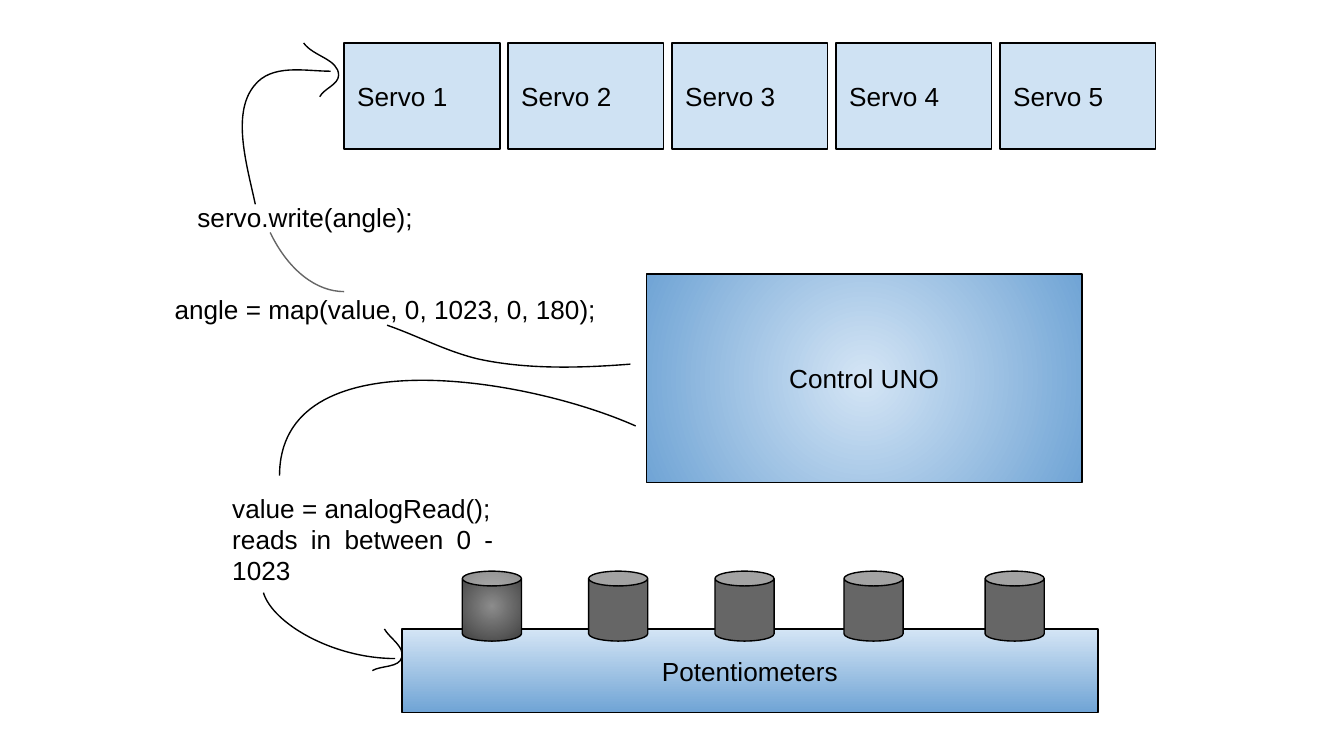
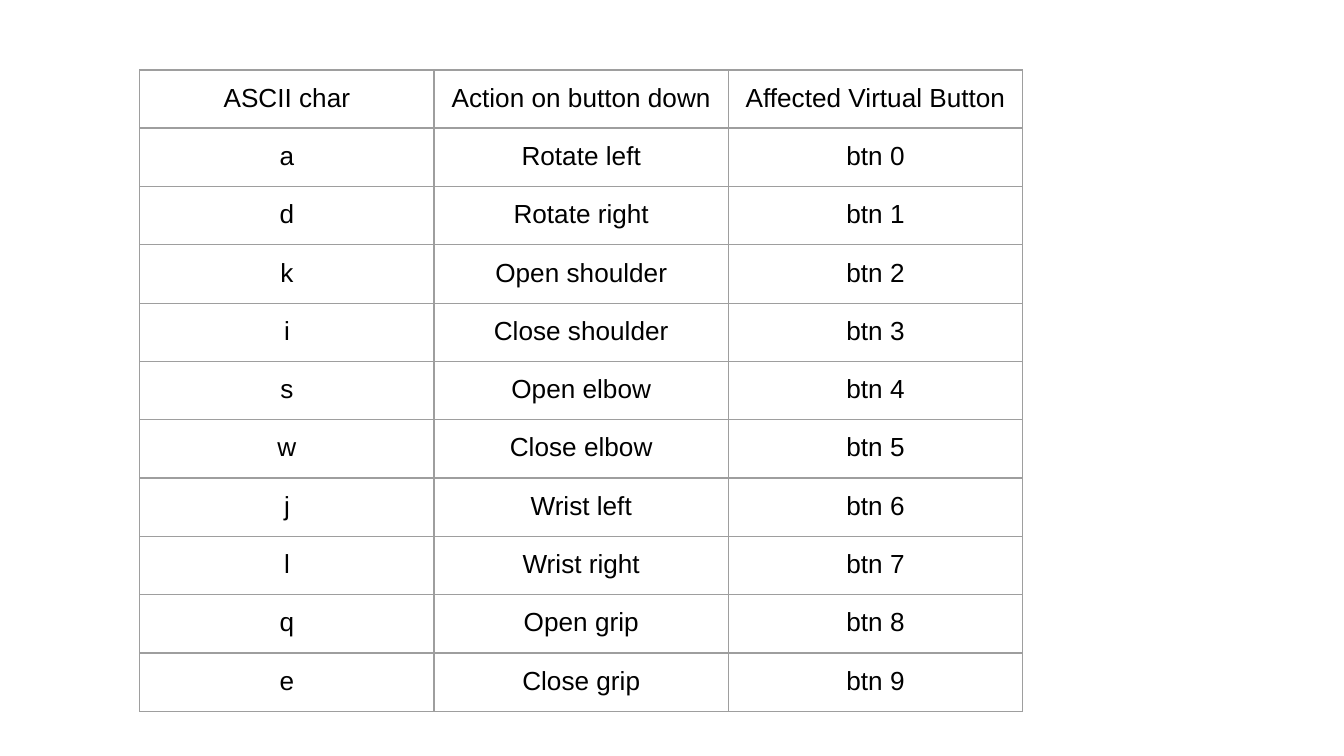
from dataclasses import dataclass

from lxml import etree
from pptx import Presentation, util as u
from pptx.dml.color import RGBColor
from pptx.enum import shapes, text
from pptx.oxml.ns import qn

PX = u.Inches(0.01)


@dataclass(frozen=True)
class Theme:
    font: str = "Arial"
    size: int = 14
    ink: str = "000000"
    line: float = 0.75
    heavy: float = 1.5
    servo: str = "CFE2F3"
    blue: tuple = ("D4E5F5", "70A4D5")
    knob: str = "666666"
    knob_glow: tuple = ("8C8C8C", "404040")
    grid: str = "9E9E9E"


THEME = Theme()
LEFT, CENTER, JUSTIFY = text.PP_ALIGN.LEFT, text.PP_ALIGN.CENTER, text.PP_ALIGN.JUSTIFY
RECT, CAN = shapes.MSO_SHAPE.RECTANGLE, shapes.MSO_SHAPE.CAN

SERVOS = [f"Servo {n}" for n in range(1, 6)]
KNOB_LEFTS = [344, 438, 532, 628, 733]
ACTIONS = [
    ("a", "Rotate left"), ("d", "Rotate right"),
    ("k", "Open shoulder"), ("i", "Close shoulder"),
    ("s", "Open elbow"), ("w", "Close elbow"),
    ("j", "Wrist left"), ("l", "Wrist right"),
    ("q", "Open grip"), ("e", "Close grip"),
]
HEADER = ("ASCII char", "Action on button down", "Affected Virtual Button")

# Each curve is a start point followed by cubic segments (control, control, end).
READ_CURVE = [(473, 317), (390, 280), (208, 251), (208, 354)]
POT_CURVE = [(196, 441), (203, 464), (248, 490), (294, 490)]
POT_HEAD = [(286, 468), (290, 475), (301, 481), (299, 489),
            (297, 497), (284, 495), (277, 499)]
MAP_CURVE = [(469, 271), (431, 274), (391, 275), (355, 267),
             (331, 261), (311, 250), (288, 242)]
SERVO_CURVE = [(190, 152), (184, 124), (172, 85), (189, 64),
               (202, 47), (227, 53), (246, 53)]
SERVO_HEAD = [(226, 32), (233, 42), (252, 44), (252, 56),
              (252, 63), (241, 66), (238, 72)]
WRITE_CURVE = [(256, 217), (236, 217), (215, 202), (201, 173)]


def box(*lengths):
    return [n * PX for n in lengths]


def rgb(color):
    return RGBColor.from_string(color)


def write(tf, lines, align):
    tf.text = lines
    tf.word_wrap = True
    tf.margin_left = tf.margin_right = tf.margin_top = tf.margin_bottom = 10 * PX
    for p in tf.paragraphs:
        p.alignment = align
        for r in p.runs:
            r.font.name, r.font.size = THEME.font, u.Pt(THEME.size)
            r.font.color.rgb = rgb(THEME.ink)


def outline(sp, color=THEME.ink):
    sp.shadow.inherit = False
    sp.line.color.rgb = rgb(color)
    sp.line.width = u.Pt(THEME.line)


def gradient(sp, colors, radial):
    sp.fill.gradient()
    sp.fill.gradient_angle = 270
    for stop, color in zip(sp.fill.gradient_stops, colors):
        stop.color.rgb = rgb(color)
    if radial:
        lin = sp._element.spPr.find(".//" + qn("a:lin"))
        circle = etree.Element(qn("a:path"), path="circle")
        etree.SubElement(circle, qn("a:fillToRect"), l="50000", t="50000", r="50000", b="50000")
        lin.getparent().replace(lin, circle)


def add_block(s, kind, at, fill, label="", align=CENTER, radial=False):
    """Draw an outlined shape; a pair of colours gives a gradient."""
    sp = s.shapes.add_shape(kind, *box(*at))
    outline(sp)
    if isinstance(fill, tuple):
        gradient(sp, fill, radial)
    else:
        sp.fill.solid()
        sp.fill.fore_color.rgb = rgb(fill)
    if label:
        write(sp.text_frame, label, align)
        sp.text_frame.vertical_anchor = text.MSO_ANCHOR.MIDDLE


def add_label(s, at, lines, align=LEFT):
    write(s.shapes.add_textbox(*box(*at)).text_frame, lines, align)


def bezier(a, b, c, d, t):
    v = 1 - t
    return [(v**3 * i + 3 * v * v * t * j + 3 * v * t * t * k + t**3 * m) * PX
            for i, j, k, m in zip(a, b, c, d)]


def add_curve(s, points, color=THEME.ink):
    """Size a freeform by sampling the curve, then give it true cubic segments."""
    starts = range(0, len(points) - 1, 3)
    samples = [bezier(*points[i:i + 4], n / 20) for i in starts for n in range(1, 21)]
    fb = s.shapes.build_freeform(*box(*points[0]))
    fb.add_line_segments(samples, close=False)
    sp = fb.convert_to_shape()
    outline(sp, color)
    sp.fill.background()
    track = sp._element.spPr.find(".//" + qn("a:path"))
    for segment in track.findall(qn("a:lnTo")):
        track.remove(segment)
    for i in starts:
        cubic = etree.SubElement(track, qn("a:cubicBezTo"))
        for x, y in points[i + 1:i + 4]:
            etree.SubElement(cubic, qn("a:pt"), x=str(x * PX - sp.left), y=str(y * PX - sp.top))


def set_borders(cell, widths):
    tcPr = cell._tc.get_or_add_tcPr()
    for side, width in zip("LRTB", widths):
        ln = etree.SubElement(tcPr, qn(f"a:ln{side}"), w=str(u.Pt(width)))
        fill = etree.SubElement(ln, qn("a:solidFill"))
        etree.SubElement(fill, qn("a:srgbClr"), val=THEME.grid)


def add_grid(s, left, top, col_width, row_height, rows):
    size = (col_width * len(rows[0]), row_height * len(rows))
    table = s.shapes.add_table(len(rows), len(rows[0]), *box(left, top, *size)).table
    table.first_row = table.horz_banding = False
    for i, row in enumerate(rows):
        above = THEME.heavy if i == 1 else THEME.line
        below = THEME.heavy if i == 0 else THEME.line
        for j, value in enumerate(row):
            cell = table.cell(i, j)
            write(cell.text_frame, value, CENTER)
            cell.margin_left = cell.margin_right = 10 * PX
            cell.margin_top = cell.margin_bottom = 10 * PX
            set_borders(cell, (THEME.line, THEME.line, above, below))
            cell.fill.background()


def wiring_slide(s):
    add_block(s, RECT, (481, 204, 324, 155), THEME.blue, "Control UNO", radial=True)
    add_block(s, RECT, (299, 468, 518, 62), THEME.blue, "Potentiometers")
    for i, left in enumerate(KNOB_LEFTS):
        fill = THEME.knob if i else THEME.knob_glow
        add_block(s, CAN, (left, 425, 44, 52), fill, radial=True)
    for i, name in enumerate(SERVOS):
        add_block(s, RECT, (256 + 122 * i, 32, 116, 79), THEME.servo, name, LEFT)

    add_label(s, (163, 356, 214, 79),
              "value = analogRead();\nreads in between 0 - 1023", JUSTIFY)
    add_label(s, (137, 140, 198, 52), "servo.write(angle);")
    add_label(s, (120, 208, 341, 44), "angle = map(value, 0, 1023, 0, 180);", JUSTIFY)
    for points in (READ_CURVE, POT_CURVE, POT_HEAD, MAP_CURVE, SERVO_CURVE, SERVO_HEAD):
        add_curve(s, points)
    add_curve(s, WRITE_CURVE, THEME.knob)


def keys_slide(s):
    rows = [(key, action, f"btn {n}") for n, (key, action) in enumerate(ACTIONS)]
    add_grid(s, 104, 52, 219, 43, [HEADER, *rows])


def main():
    prs = Presentation()
    prs.slide_width = 1000 * PX
    prs.slide_height = prs.slide_width * 9 // 16
    for build in (wiring_slide, keys_slide):
        build(prs.slides.add_slide(prs.slide_layouts[6]))
    prs.save("out.pptx")


if __name__ == "__main__":
    main()
